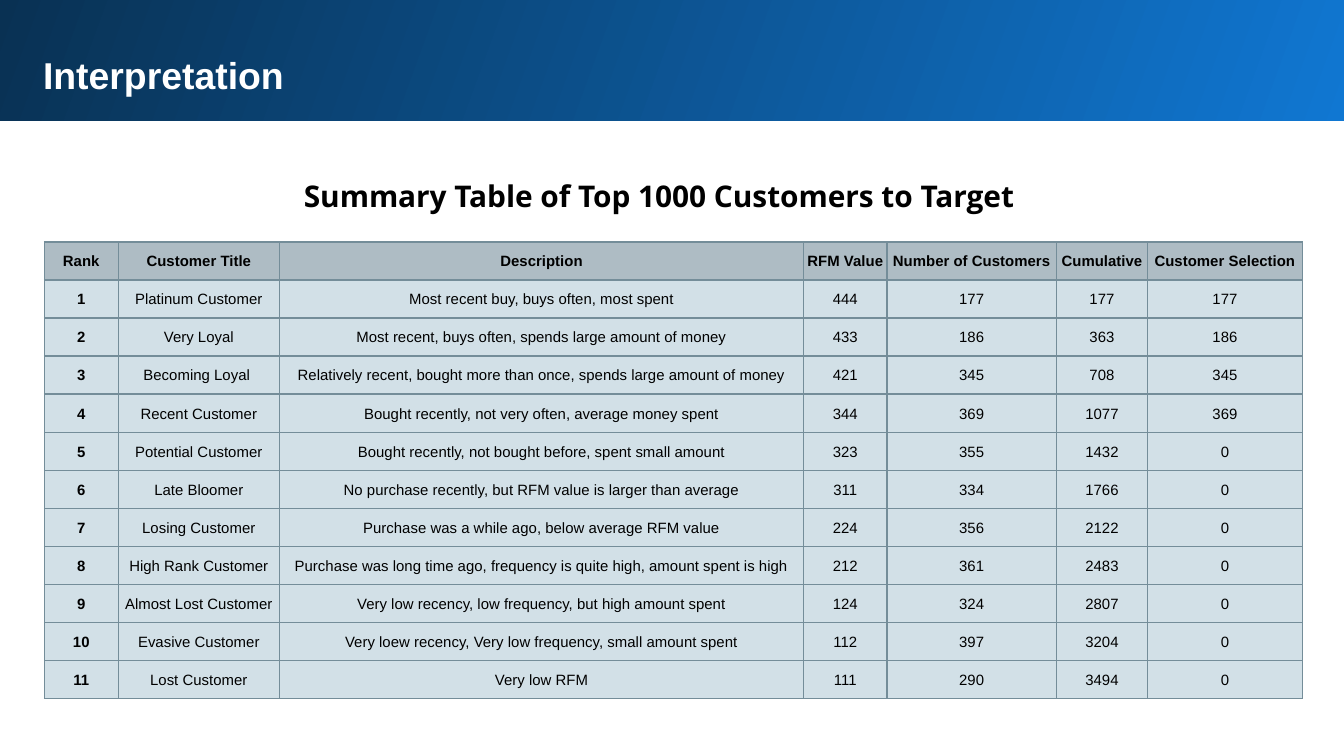
from lxml.etree import SubElement
from pptx import Presentation
from pptx.dml.color import RGBColor
from pptx.enum.shapes import MSO_SHAPE
from pptx.enum.text import MSO_ANCHOR, MSO_AUTO_SIZE, PP_ALIGN
from pptx.oxml.ns import qn
from pptx.util import Inches, Pt

SLIDE_WIDTH = Inches(10)
SLIDE_HEIGHT = SLIDE_WIDTH * 9 // 16
COLORS = {
    "banner_light": "1077D2",
    "banner_dark": "093153",
    "title": "FFFFFF",
    "text": "000000",
    "header": "AEBCC4",
    "body": "D2E0E7",
    "border": "748D99",
}
BORDER_WIDTH = Pt(0.75)
COLUMN_WIDTHS = [0.55, 1.2, 3.9, 0.62, 1.26, 0.68, 1.15]
HEADINGS = ("Rank", "Customer Title", "Description", "RFM Value",
            "Number of Customers", "Cumulative", "Customer Selection")
SEGMENTS = [
    (1, "Platinum Customer", "Most recent buy, buys often, most spent", 444, 177, 177, 177),
    (2, "Very Loyal", "Most recent, buys often, spends large amount of money", 433, 186, 363, 186),
    (3, "Becoming Loyal ", "Relatively recent, bought more than once, spends large amount of money",
     421, 345, 708, 345),
    (4, "Recent Customer", "Bought recently, not very often, average money spent", 344, 369, 1077, 369),
    (5, "Potential Customer", "Bought recently, not bought before, spent small amount", 323, 355, 1432, 0),
    (6, "Late Bloomer", "No purchase recently, but RFM value is larger than average", 311, 334, 1766, 0),
    (7, "Losing Customer", "Purchase was a while ago, below average RFM value", 224, 356, 2122, 0),
    (8, "High Rank Customer", "Purchase was long time ago, frequency is quite high, amount spent is high",
     212, 361, 2483, 0),
    (9, "Almost Lost Customer", "Very low recency, low frequency, but high amount spent", 124, 324, 2807, 0),
    (10, "Evasive Customer", "Very loew recency, Very low frequency, small amount spent", 112, 397, 3204, 0),
    (11, "Lost Customer", "Very low RFM", 111, 290, 3494, 0),
]


def color(name):
    return RGBColor.from_string(COLORS[name])


def apply(target, values):
    for name, value in values.items():
        setattr(target, name, value)


def place(shape, box):
    apply(shape, dict(zip(("left", "top", "width", "height"), map(Inches, box))))


def write(frame, text, size, font="Arial", bold=True, color_name="text",
          align=PP_ALIGN.CENTER, line_spacing=None):
    frame.text = text
    paragraph = frame.paragraphs[0]
    apply(paragraph, {"alignment": align, "line_spacing": line_spacing})
    run_font = paragraph.runs[0].font
    apply(run_font, {"size": Pt(size), "name": font, "bold": bold})
    run_font.color.rgb = color(color_name)


def format_heading(shape, box, text, **style):
    place(shape, box)
    inset = Inches(0.1)
    apply(shape.text_frame, {
        "word_wrap": True, "auto_size": MSO_AUTO_SIZE.SHAPE_TO_FIT_TEXT,
        "vertical_anchor": MSO_ANCHOR.TOP, "margin_left": inset,
        "margin_top": inset, "margin_right": inset, "margin_bottom": inset,
    })
    write(shape.text_frame, text, **style)


def add_banner(slide, box):
    """Add the gradient banner with the slide title in front of it."""
    left, top, width, _ = box
    banner = slide.shapes.add_shape(MSO_SHAPE.RECTANGLE, *map(Inches, box))
    banner.shadow.inherit = False
    banner.line.fill.background()
    banner.fill.gradient()
    banner.fill.gradient_angle = 160
    for stop, name in zip(banner.fill.gradient_stops, ("banner_light", "banner_dark")):
        stop.color.rgb = color(name)
    title = slide.shapes.title
    banner.element.addnext(title.element)
    format_heading(title, (left + 0.24, top + 0.31, width - 0.68, 0.54), "Interpretation",
                   size=20, color_name="title", align=PP_ALIGN.LEFT)


def add_borders(cell):
    properties = cell._tc.get_or_add_tcPr()
    for side in ("a:lnL", "a:lnR", "a:lnT", "a:lnB"):
        line = SubElement(properties, qn(side), w=str(BORDER_WIDTH))
        fill = SubElement(line, qn("a:solidFill"))
        SubElement(fill, qn("a:srgbClr"), val=COLORS["border"])


def add_segment_table(slide, box):
    rows = [HEADINGS, *SEGMENTS]
    table = slide.shapes.add_table(len(rows), len(HEADINGS), *map(Inches, box)).table
    table.horz_banding = False
    for column, width in zip(table.columns, COLUMN_WIDTHS):
        column.width = Inches(width)
    inset = Inches(0.01)
    for row_index, values in enumerate(rows):
        is_header = row_index == 0
        for column_index, value in enumerate(values):
            cell = table.cell(row_index, column_index)
            apply(cell, {
                "vertical_anchor": MSO_ANCHOR.MIDDLE, "margin_left": inset,
                "margin_top": inset, "margin_right": inset, "margin_bottom": 0,
            })
            add_borders(cell)
            cell.fill.solid()
            cell.fill.fore_color.rgb = color("header" if is_header else "body")
            write(cell.text_frame, str(value), size=8, bold=is_header or column_index == 0)


def add_summary(slide, box):
    """Add the table caption and, below it, the table of customer segments."""
    left, top, width, height = box
    caption = slide.shapes.add_textbox(0, 0, 0, 0)
    format_heading(caption, (left, top, width, 0.49),
                   "Summary Table of Top 1000 Customers to Target",
                   size=16, font="Open Sans", line_spacing=1.15)
    add_segment_table(slide, (left + 0.11, top + 0.62, sum(COLUMN_WIDTHS), height - 0.62))


def main():
    presentation = Presentation()
    apply(presentation, {"slide_width": SLIDE_WIDTH, "slide_height": SLIDE_HEIGHT})
    slide = presentation.slides.add_slide(presentation.slide_layouts[5])
    add_banner(slide, (-0.02, -0.02, 10.05, 0.92))
    add_summary(slide, (0.22, 1.18, 9.37, 4.02))
    presentation.save("out.pptx")


if __name__ == "__main__":
    main()
